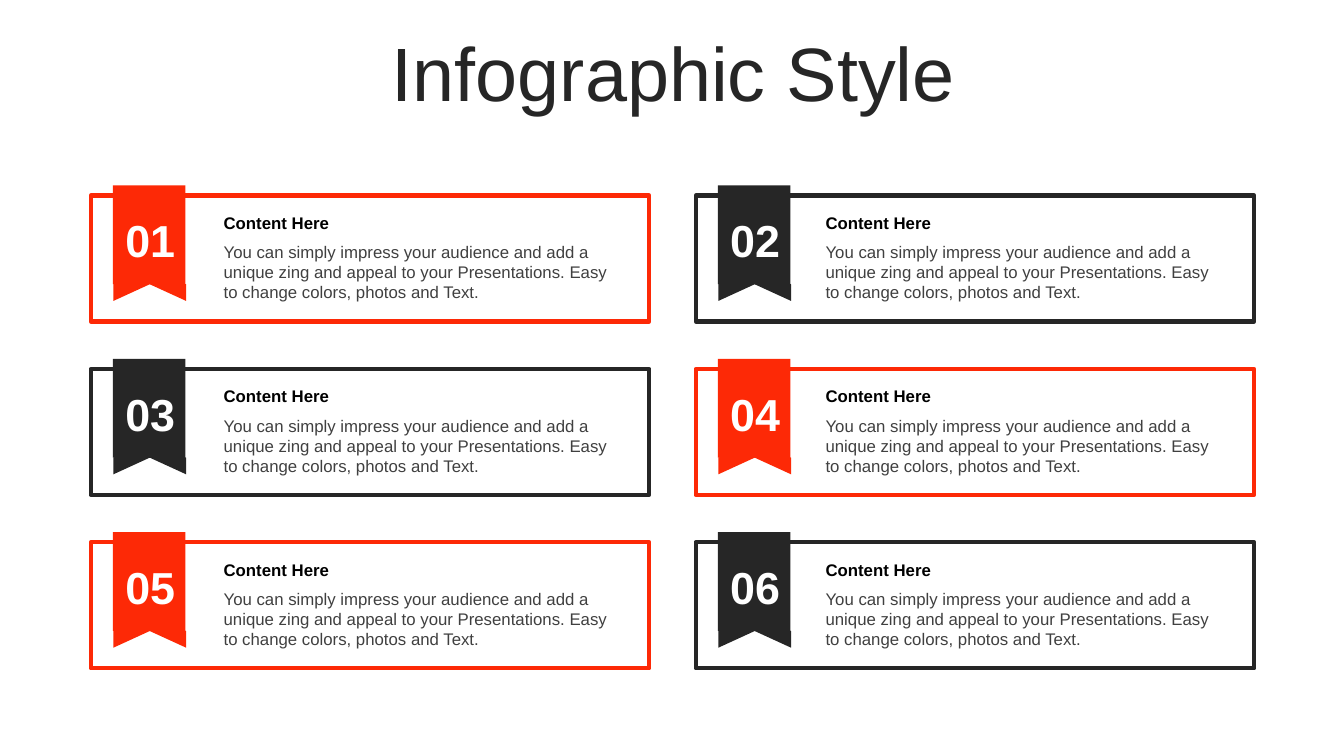
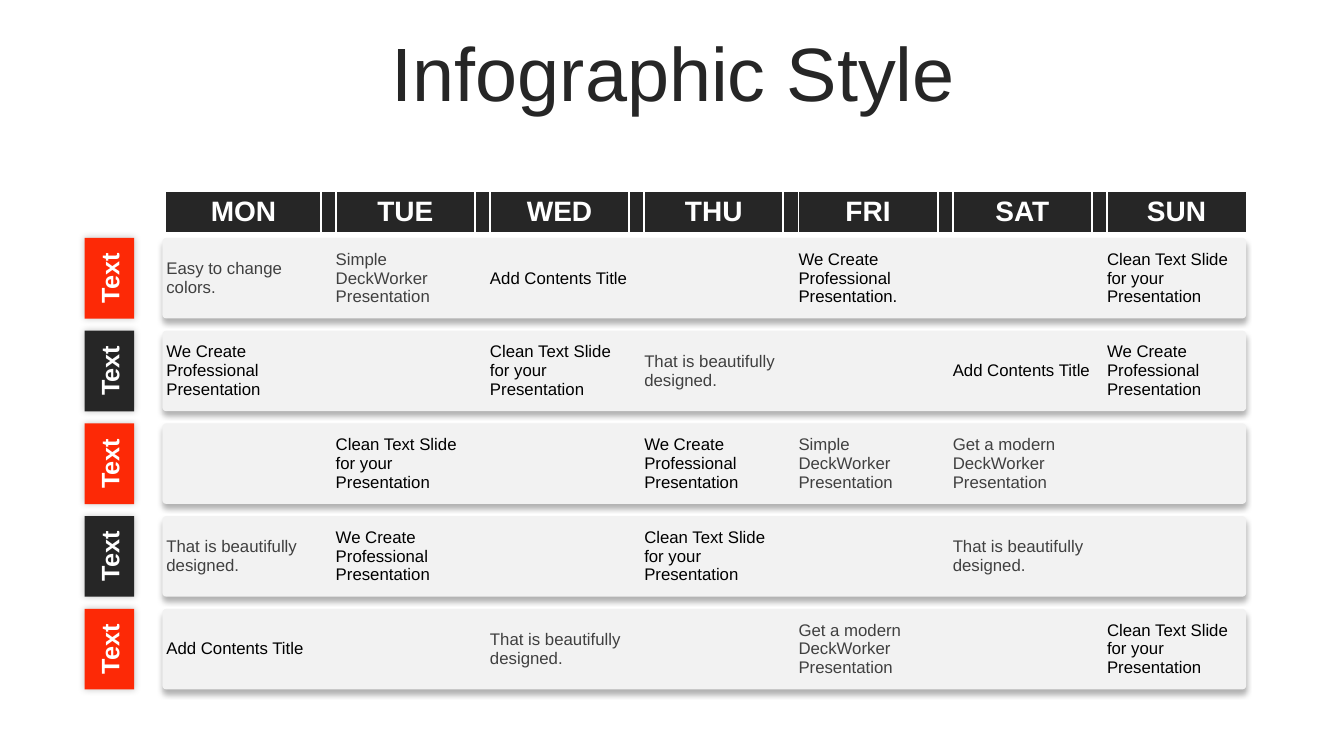
from lxml.etree import SubElement
from pptx import Presentation
from pptx.dml.color import RGBColor
from pptx.enum.shapes import MSO_SHAPE
from pptx.enum.text import MSO_ANCHOR, MSO_AUTO_SIZE, PP_ALIGN
from pptx.oxml import parse_xml
from pptx.oxml.ns import nsdecls, qn
from pptx.util import Inches, Pt

RED, DARK, WHITE, BLACK = "FD2906", "262626", "FFFFFF", "000000"
GREY, PALE = "404040", "F2F2F2"
TITLE = {"name": "Arial", "size": Pt(54), "bold": False}
NUMBER = {"name": "Arial", "size": Pt(32), "bold": True}
HEADING = {"name": "Arial", "size": Pt(12), "bold": True}
BODY = {"name": "Arial", "size": Pt(12), "bold": False}
DAY = {"name": "Arial", "size": Pt(20), "bold": True}
LABEL = {"name": "Arial", "size": Pt(18), "bold": True}


def colour(value):
    return RGBColor.from_string(value)


def write(frame, text, style, ink, align=PP_ALIGN.LEFT, anchor=MSO_ANCHOR.MIDDLE):
    frame.word_wrap = True
    frame.vertical_anchor = anchor
    for index, line in enumerate(text.split("\n")):
        para = frame.add_paragraph() if index else frame.paragraphs[0]
        para.alignment = align
        span = para.add_run()
        span.text = line
        for name, value in style.items():
            setattr(span.font, name, value)
        span.font.color.rgb = colour(ink)


deck = Presentation()
deck.slide_width, deck.slide_height = Inches(13.33), Inches(7.5)
pages = []
for _ in range(2):
    page = deck.slides.add_slide(deck.slide_layouts[5])
    title = page.shapes.title
    title.left, title.top = Inches(0.35), Inches(0.37)
    title.width, title.height = Inches(12.66), Inches(0.79)
    write(title.text_frame, "Infographic Style", TITLE, DARK, PP_ALIGN.CENTER)
    title.text_frame.auto_size = MSO_AUTO_SIZE.NONE
    title.text_frame.paragraphs[0].line_spacing = 0.9
    pages.append(page)
cards_page, week_page = pages

CARD_TOP, CARD_PITCH = 1.94, 1.72
CARD_COLUMNS = [(0.9, 2.12), (6.9, 8.09)]
CARD_COLOURS = [RED, DARK, DARK, RED, RED, DARK]
CARD_TEXT = (
    "You can simply impress your audience and add a unique zing and appeal "
    "to your Presentations. Easy to change colors, photos and Text."
)
for index, accent in enumerate(CARD_COLOURS):
    row, column = divmod(index, 2)
    left, text_left = CARD_COLUMNS[column]
    top = CARD_TOP + row * CARD_PITCH
    for kind, x, y, width, height, fill, turn in [
        (MSO_SHAPE.RECTANGLE, left, top, 5.54, 1.25, WHITE, 0),
        (MSO_SHAPE.CHEVRON, left + 0.42, top + 0.52, 0.33, 0.72, accent, 270),
        (MSO_SHAPE.RECTANGLE, left + 0.22, top - 0.1, 0.72, 0.98, accent, 0),
    ]:
        box = cards_page.shapes.add_shape(
            kind, Inches(x), Inches(y), Inches(width), Inches(height))
        box.rotation = turn
        box.shadow.inherit = False
        box.fill.solid()
        box.fill.fore_color.rgb = colour(fill)
        if fill == WHITE:
            box.line.color.rgb = colour(accent)
            box.line.width = Pt(3)
        else:
            box.line.fill.background()
    for x, y, width, height, text, style, ink, align, anchor in [
        (left + 0.23, top + 0.12, 0.72, 0.64, f"{index + 1:02}", NUMBER, WHITE,
         PP_ALIGN.CENTER, MSO_ANCHOR.MIDDLE),
        (text_left, top + 0.12, 4.14, 0.3, "Content Here", HEADING, BLACK,
         PP_ALIGN.LEFT, MSO_ANCHOR.TOP),
        (text_left, top + 0.41, 4.14, 0.71, CARD_TEXT, BODY, GREY,
         PP_ALIGN.LEFT, MSO_ANCHOR.TOP),
    ]:
        box = cards_page.shapes.add_textbox(
            Inches(x), Inches(y), Inches(width), Inches(height))
        write(box.text_frame, text, style, ink, align, anchor)

ROW_HEIGHT, ROW_GAP, FIRST_ROW = 0.8, 0.12, 2.36
for index in range(5):
    top = FIRST_ROW + index * (ROW_HEIGHT + ROW_GAP)
    bar = week_page.shapes.add_shape(
        MSO_SHAPE.ROUNDED_RECTANGLE, Inches(1.61), Inches(top), Inches(10.75), Inches(ROW_HEIGHT))
    bar.adjustments[0] = 0.05
    tab_width = 0.49
    shift = (ROW_HEIGHT - tab_width) / 2
    tab = week_page.shapes.add_shape(
        MSO_SHAPE.RECTANGLE, Inches(0.84 - shift), Inches(top + shift),
        Inches(ROW_HEIGHT), Inches(tab_width))
    tab.rotation = 270
    write(tab.text_frame, "Text", LABEL, WHITE, PP_ALIGN.CENTER)
    for box, fill, blur, distance, alpha in [
        (bar, PALE, 4, 3, 30),
        (tab, DARK if index % 2 else RED, 5, 0, 22),
    ]:
        box.fill.solid()
        box.fill.fore_color.rgb = colour(fill)
        box.line.fill.background()
        box._element.spPr.append(parse_xml(
            f'<a:effectLst {nsdecls("a")}><a:outerShdw blurRad="{Pt(blur)}" '
            f'dist="{Pt(distance)}" dir="5400000" algn="ctr" rotWithShape="0">'
            f'<a:srgbClr val="{BLACK}"><a:alpha val="{alpha * 1000}"/></a:srgbClr>'
            '</a:outerShdw></a:effectLst>'))

DAYS = ["MON", "TUE", "WED", "THU", "FRI", "SAT", "SUN"]
EASY = "Easy to change colors."
SIMPLE = "Simple DeckWorker Presentation"
DESIGNED = "That is beautifully designed."
MODERN = "Get a modern DeckWorker Presentation"
ADD = "Add Contents Title"
CREATE = "We Create\nProfessional Presentation"
CLEAN = "Clean Text Slide for your Presentation"
GREY_TEXTS = [EASY, SIMPLE, DESIGNED, MODERN]
WEEKS = [
    [EASY, SIMPLE, ADD, "", CREATE + ".", "", CLEAN],
    [CREATE, "", CLEAN, DESIGNED, "", ADD, CREATE],
    ["", CLEAN, "", CREATE, SIMPLE, MODERN, ""],
    [DESIGNED, CREATE, "", CLEAN, "", DESIGNED, ""],
    [ADD, "", DESIGNED, "", MODERN, "", CLEAN],
]
widths = [1.53] + [0.15, 1.38] * 6
heights = [0.4, 0.06] + [ROW_HEIGHT, ROW_GAP] * 4 + [ROW_HEIGHT]
holder = week_page.shapes.add_table(
    len(heights), len(widths), Inches(1.65), Inches(1.9),
    Inches(sum(widths)), Inches(sum(heights)))
table = holder.table
table.first_row = table.horz_banding = False
style_id = next(holder._element.iter(qn("a:tableStyleId")))
style_id.text = "{2D5ABB26-0587-4C30-8999-92F81FD0307C}"
for column, width in zip(table.columns, widths):
    column.width = Inches(width)
for row, height in zip(table.rows, heights):
    row.height = Inches(height)

for row in range(len(heights)):
    texts = WEEKS[row // 2 - 1] if row else DAYS
    for column in range(len(widths)):
        cell = table.cell(row, column)
        for side in ["left", "right", "top", "bottom"]:
            setattr(cell, f"margin_{side}", 0)
        cell.vertical_anchor = MSO_ANCHOR.MIDDLE
        text = "" if row % 2 or column % 2 else texts[column // 2]
        if not text:
            SubElement(cell.text_frame.paragraphs[0]._p, qn("a:endParaRPr"), sz="100")
        elif row:
            write(cell.text_frame, text, BODY, GREY if text in GREY_TEXTS else BLACK)
        else:
            write(cell.text_frame, text, DAY, WHITE, PP_ALIGN.CENTER)
        cell.vertical_anchor = MSO_ANCHOR.MIDDLE
        if row:
            cell.fill.background()
            continue
        cell.fill.solid()
        cell.fill.fore_color.rgb = colour(DARK)
        if column < len(widths) - 1:
            edge = "lnL" if column % 2 else "lnR"
            cell._tc.get_or_add_tcPr().insert(0, parse_xml(
                f'<a:{edge} {nsdecls("a")} w="{Pt(1.5)}"><a:solidFill>'
                f'<a:srgbClr val="{WHITE}"/></a:solidFill></a:{edge}>'))

deck.save("out.pptx")
